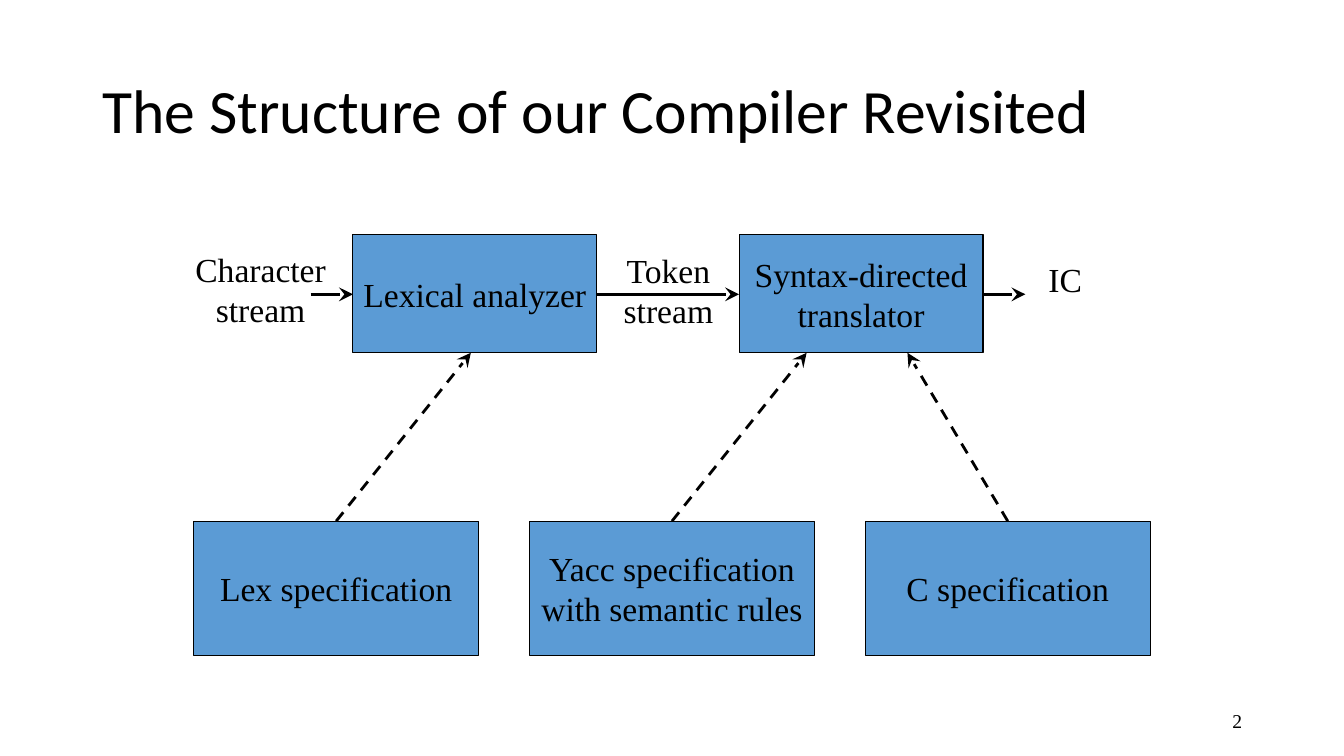
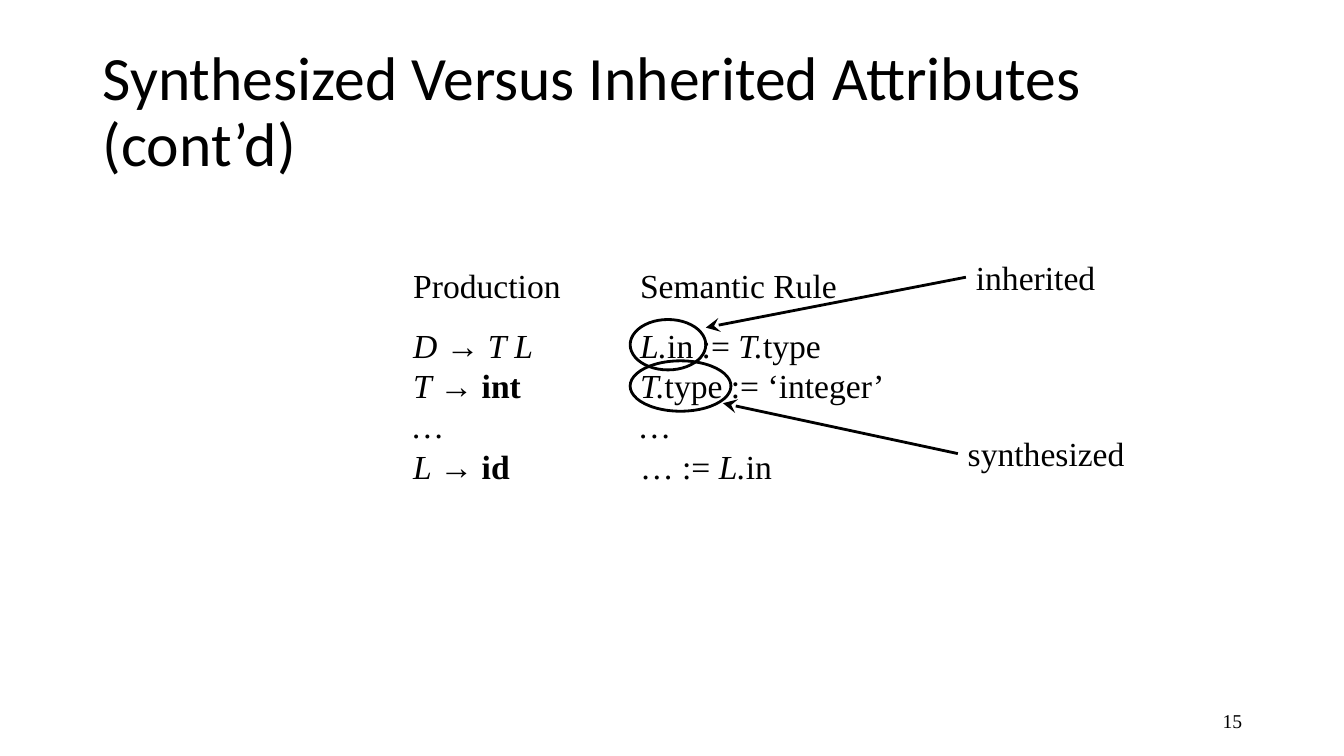
from pptx import Presentation
from pptx.dml.color import RGBColor
from pptx.enum.dml import MSO_LINE
from pptx.enum.shapes import MSO_CONNECTOR, MSO_SHAPE
from pptx.enum.text import MSO_ANCHOR, MSO_AUTO_SIZE, PP_ALIGN
from pptx.oxml.ns import qn
from pptx.util import Inches, Pt
from lxml import etree

BLACK = RGBColor(0x00, 0x00, 0x00)
BLUE = RGBColor(0x5B, 0x9B, 0xD5)
TITLE_FONT = "Calibri"
BODY_FONT = "Times New Roman"
LEFT, CENTER, RIGHT = PP_ALIGN.LEFT, PP_ALIGN.CENTER, PP_ALIGN.RIGHT
TOP, MIDDLE = MSO_ANCHOR.TOP, MSO_ANCHOR.MIDDLE
NO_FIT, GROW = MSO_AUTO_SIZE.NONE, MSO_AUTO_SIZE.SHAPE_TO_FIT_TEXT
DASH = MSO_LINE.DASH
STRAIGHT = MSO_CONNECTOR.STRAIGHT
RECTANGLE, OVAL = MSO_SHAPE.RECTANGLE, MSO_SHAPE.OVAL

STAGE_TOP, STAGE_WIDTH, STAGE_HEIGHT = 2.33, 2.42, 1.17
STAGE_MIDDLE, STAGE_BOTTOM = 2.92, 3.5
STAGES = [(3.5, ["Lexical analyzer"]),
          (7.33, ["Syntax-directed", "translator"])]
STREAMS = [(3.08, 3.5), (5.92, 7.33), (9.75, 10.17)]

SPEC_LEFT, SPEC_STEP, SPEC_TOP = 1.92, 3.33, 5.17
SPEC_WIDTH, SPEC_HEIGHT = 2.83, 1.33
SPECIFICATIONS = [(["Lex specification"], 4.67),
                  (["Yacc specification", "with semantic rules"], 8),
                  (["C specification"], 9)]

PRODUCTION_LEFT, RULE_LEFT, HEADING_TOP, GRAMMAR_TOP = 4, 6.25, 2.58, 3.17
PRODUCTIONS = [[("D ", "i"), ("→ ", ""), ("T L", "i")],
               [("T ", "i"), ("→ ", ""), ("int", "b")],
               [("…", "i")],
               [("L ", "i"), ("→ ", ""), ("id", "b")]]
RULES = [[("L.", "i"), ("in :=", ""), (" T.", "i"), ("type", "")],
         [("T.", "i"), ("type := ‘integer’", "")],
         [("…", "i")],
         [("… := ", ""), ("L.", "i"), ("in", "")]]


def write_text(shape, lines, size=24, font=BODY_FONT, align=LEFT, anchor=TOP,
               wrap=False, fit=NO_FIT, spacing=None):
    """Fill a shape with lines, each a string or a list of (text, style) spans."""
    frame = shape.text_frame
    frame.word_wrap = wrap
    frame.auto_size = fit
    frame.vertical_anchor = anchor
    para = frame.paragraphs[0]
    para.alignment = align
    if spacing:
        para.line_spacing = spacing
    for number, line in enumerate(lines):
        if number:
            para.add_line_break()
        for text, style in [(line, "")] if isinstance(line, str) else line:
            span = para.add_run()
            span.text = text
            span.font.name = font
            span.font.size = Pt(size)
            span.font.color.rgb = BLACK
            span.font.bold = "b" in style
            span.font.italic = "i" in style


def add_text(page, left, top, width, height, lines, **text_format):
    """Add a text box."""
    box = page.shapes.add_textbox(Inches(left), Inches(top), Inches(width), Inches(height))
    write_text(box, lines, **text_format)


def add_label(page, left, top, width, height, lines, **text_format):
    """Add a text box that grows with its body text."""
    add_text(page, left, top, width, height, lines, fit=GROW, **text_format)


def add_outline(page, kind, left, top, width, height, line_width):
    """Add an unfilled preset shape with a black outline."""
    shape = page.shapes.add_shape(kind, Inches(left), Inches(top), Inches(width), Inches(height))
    shape.shadow.inherit = False
    shape.fill.background()
    shape.line.color.rgb = BLACK
    shape.line.width = Pt(line_width)
    return shape


def add_block(page, left, top, width, height, lines):
    """Add a blue block of the compiler diagram."""
    block = add_outline(page, RECTANGLE, left, top, width, height, 0.75)
    block.fill.solid()
    block.fill.fore_color.rgb = BLUE
    write_text(block, lines, align=CENTER, anchor=MIDDLE)


def add_arrow(page, start, end, dash=None):
    """Add a straight arrow with a large stealth head at its end."""
    points = [Inches(value) for value in (*start, *end)]
    arrow = page.shapes.add_connector(STRAIGHT, *points)
    arrow.line.color.rgb = BLACK
    arrow.line.width = Pt(2)
    if dash:
        arrow.line.dash_style = dash
    outline = arrow._element.spPr.find(qn("a:ln"))
    etree.SubElement(outline, qn("a:tailEnd"), type="stealth", w="lg", len="lg")
    etree.SubElement(arrow._element.spPr, qn("a:effectLst"))


def add_page(deck, title, number):
    """Add a blank page with its title and page number."""
    page = deck.slides.add_slide(deck.slide_layouts[6])
    add_text(page, 0.92, 0.4, 11.5, 1.45, [title], size=44, font=TITLE_FONT,
             anchor=MIDDLE, wrap=True, spacing=0.9)
    add_text(page, 9.42, 6.95, 3, 0.4, [str(number)], size=14, align=RIGHT,
             anchor=MIDDLE, wrap=True)
    return page


def add_compiler_page(deck):
    """Show the compiler stages and the specifications that feed them."""
    page = add_page(deck, "The Structure of our Compiler Revisited", 2)
    for left, lines in STAGES:
        add_block(page, left, STAGE_TOP, STAGE_WIDTH, STAGE_HEIGHT, lines)
    add_label(page, 1.83, 2.42, 1.51, 0.91, ["Character", "stream"], align=CENTER)
    add_label(page, 6.08, 2.43, 1.1, 0.91, ["Token", "stream"], align=CENTER)
    add_label(page, 9.74, 2.52, 1.65, 0.51, ["IC"], align=CENTER, wrap=True)
    for start, end in STREAMS:
        add_arrow(page, (start, STAGE_MIDDLE), (end, STAGE_MIDDLE))
    for column, (lines, target) in enumerate(SPECIFICATIONS):
        left = SPEC_LEFT + column * SPEC_STEP
        add_block(page, left, SPEC_TOP, SPEC_WIDTH, SPEC_HEIGHT, lines)
        add_arrow(page, (left + SPEC_WIDTH / 2, SPEC_TOP), (target, STAGE_BOTTOM), dash=DASH)


def add_attributes_page(deck):
    """Show a grammar with its inherited and synthesized attributes marked."""
    page = add_page(deck, "Synthesized Versus Inherited Attributes (cont’d)", 15)
    add_label(page, PRODUCTION_LEFT, HEADING_TOP, 1.7, 0.5, ["Production"])
    add_label(page, RULE_LEFT, HEADING_TOP, 2.2, 0.5, ["Semantic Rule"])
    add_label(page, PRODUCTION_LEFT, GRAMMAR_TOP, 1.45, 1.72, PRODUCTIONS)
    add_label(page, RULE_LEFT, GRAMMAR_TOP, 2.75, 1.72, RULES)
    add_outline(page, OVAL, RULE_LEFT, 3.17, 0.75, 0.5, 2)
    add_outline(page, OVAL, RULE_LEFT, 3.58, 1, 0.5, 2)
    add_arrow(page, (9.58, 2.75), (7, 3.25))
    add_label(page, 9.58, 2.5, 1.45, 0.5, ["inherited"])
    add_arrow(page, (9.5, 4.5), (7.17, 4))
    add_label(page, 9.5, 4.25, 1.8, 0.5, ["synthesized"])


def main():
    """Build and save the deck."""
    deck = Presentation()
    deck.slide_width = Inches(13.33)
    deck.slide_height = Inches(7.5)
    add_compiler_page(deck)
    add_attributes_page(deck)
    deck.save("out.pptx")


main()
